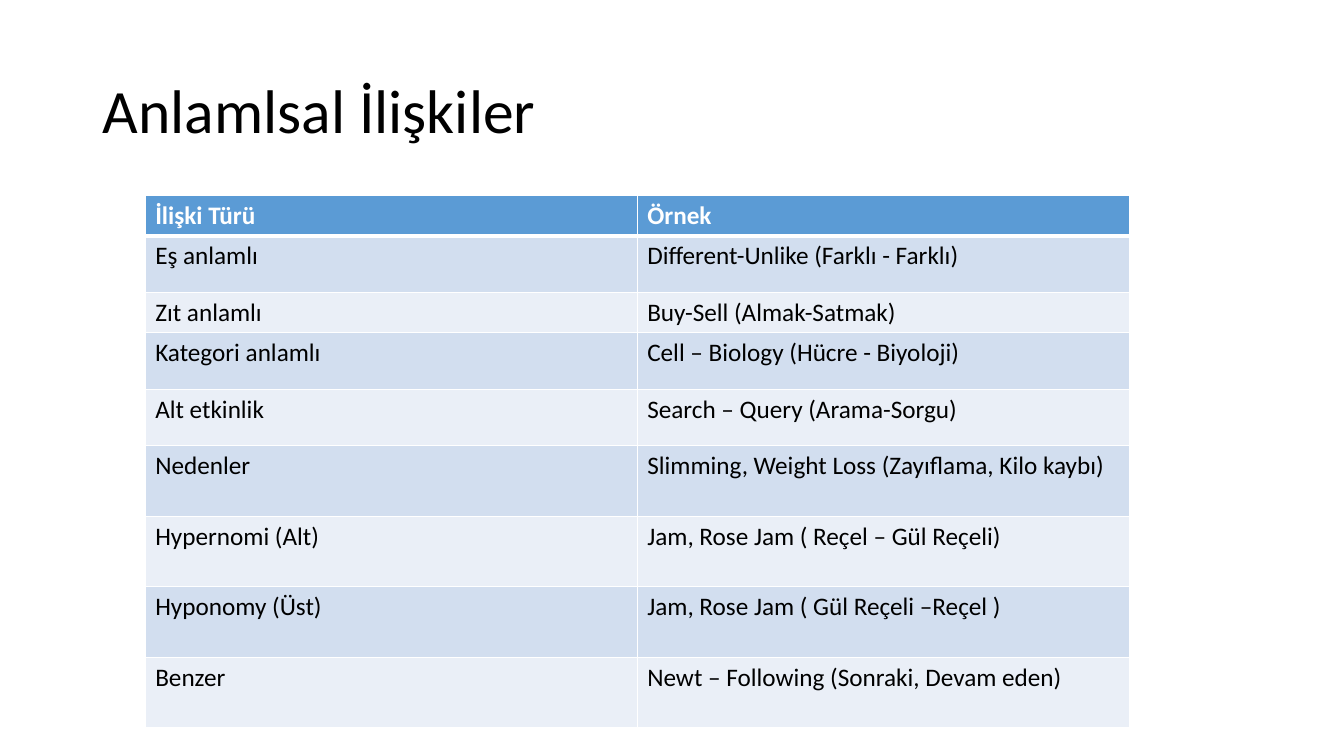
from typing import NamedTuple

from lxml import etree
from pptx import Presentation
from pptx.dml.color import RGBColor
from pptx.enum.text import MSO_ANCHOR
from pptx.oxml.ns import qn
from pptx.util import Emu, Pt

PX = 9144  # EMU, 100 px to the inch
MIDDLE = MSO_ANCHOR.MIDDLE
FONT = "Calibri"
COLORS = {
    "text": "000000",
    "header": "5B9BD5",
    "odd": "D2DEEF",
    "even": "EAEFF7",
    "white": "FFFFFF",
}


class Relation(NamedTuple):
    kind: str
    example: str
    height: int


RELATIONS = [
    Relation("İlişki Türü", "Örnek", 40),
    Relation("Eş anlamlı", "Different-Unlike (Farklı - Farklı)", 56),
    Relation("Zıt anlamlı", "Buy-Sell (Almak-Satmak)", 40),
    Relation("Kategori anlamlı", "Cell – Biology (Hücre - Biyoloji)", 56),
    Relation("Alt etkinlik", "Search – Query (Arama-Sorgu)", 56),
    Relation("Nedenler", "Slimming, Weight Loss (Zayıflama, Kilo kaybı)", 70),
    Relation("Hypernomi (Alt)", "Jam, Rose Jam ( Reçel – Gül Reçeli)", 70),
    Relation("Hyponomy (Üst)", "Jam, Rose Jam ( Gül Reçeli –Reçel )", 70),
    Relation("Benzer", "Newt – Following (Sonraki, Devam eden)", 70),
]
COLUMN_WIDTH = 488


def px(length: int) -> Emu:
    return Emu(length * PX)


def style_text(frame, size: int, color: str, bold: bool = False) -> None:
    for para in frame.paragraphs:
        for span in para.runs:
            span.font.name = FONT
            span.font.size = Pt(size)
            span.font.bold = bold
            span.font.color.rgb = RGBColor.from_string(COLORS[color])


def add_borders(cell, top: int, bottom: int) -> None:
    """Draw white cell borders; widths in points, sides are 1 pt."""
    properties = cell._tc.get_or_add_tcPr()
    sides = {"a:lnL": 1, "a:lnR": 1, "a:lnT": top, "a:lnB": bottom}
    for index, (tag, width) in enumerate(sides.items()):
        line = etree.Element(qn(tag), w=str(Pt(width)))
        fill = etree.SubElement(line, qn("a:solidFill"))
        etree.SubElement(fill, qn("a:srgbClr"), val=COLORS["white"])
        properties.insert(index, line)


def add_title(page, text: str) -> None:
    box = page.shapes.add_textbox(px(92), px(40), px(1150), px(145))
    frame = box.text_frame
    frame.word_wrap = True
    frame.vertical_anchor = MIDDLE
    frame.text = text
    frame.paragraphs[0].line_spacing = 0.9
    style_text(frame, 44, "text")


def add_relation_table(page, relations: list[Relation]) -> None:
    height = sum(relation.height for relation in relations)
    table = page.shapes.add_table(
        len(relations), 2, px(144), px(194), px(2 * COLUMN_WIDTH), px(height)
    ).table
    for column in table.columns:
        column.width = px(COLUMN_WIDTH)
    for index, relation in enumerate(relations):
        table.rows[index].height = px(relation.height)
        is_header = index == 0
        band = "header" if is_header else "odd" if index % 2 else "even"
        for column, text in enumerate((relation.kind, relation.example)):
            cell = table.cell(index, column)
            cell.text = text
            style_text(cell.text_frame, 18, "white" if is_header else "text", is_header)
            cell.fill.solid()
            cell.fill.fore_color.rgb = RGBColor.from_string(COLORS[band])
            add_borders(cell, top=3 if index == 1 else 1, bottom=3 if is_header else 1)


def main() -> None:
    deck = Presentation()
    deck.slide_width, deck.slide_height = px(1333), px(750)
    page = deck.slides.add_slide(deck.slide_layouts[6])
    add_title(page, "Anlamlsal İlişkiler")
    add_relation_table(page, RELATIONS)
    deck.save("out.pptx")


if __name__ == "__main__":
    main()
